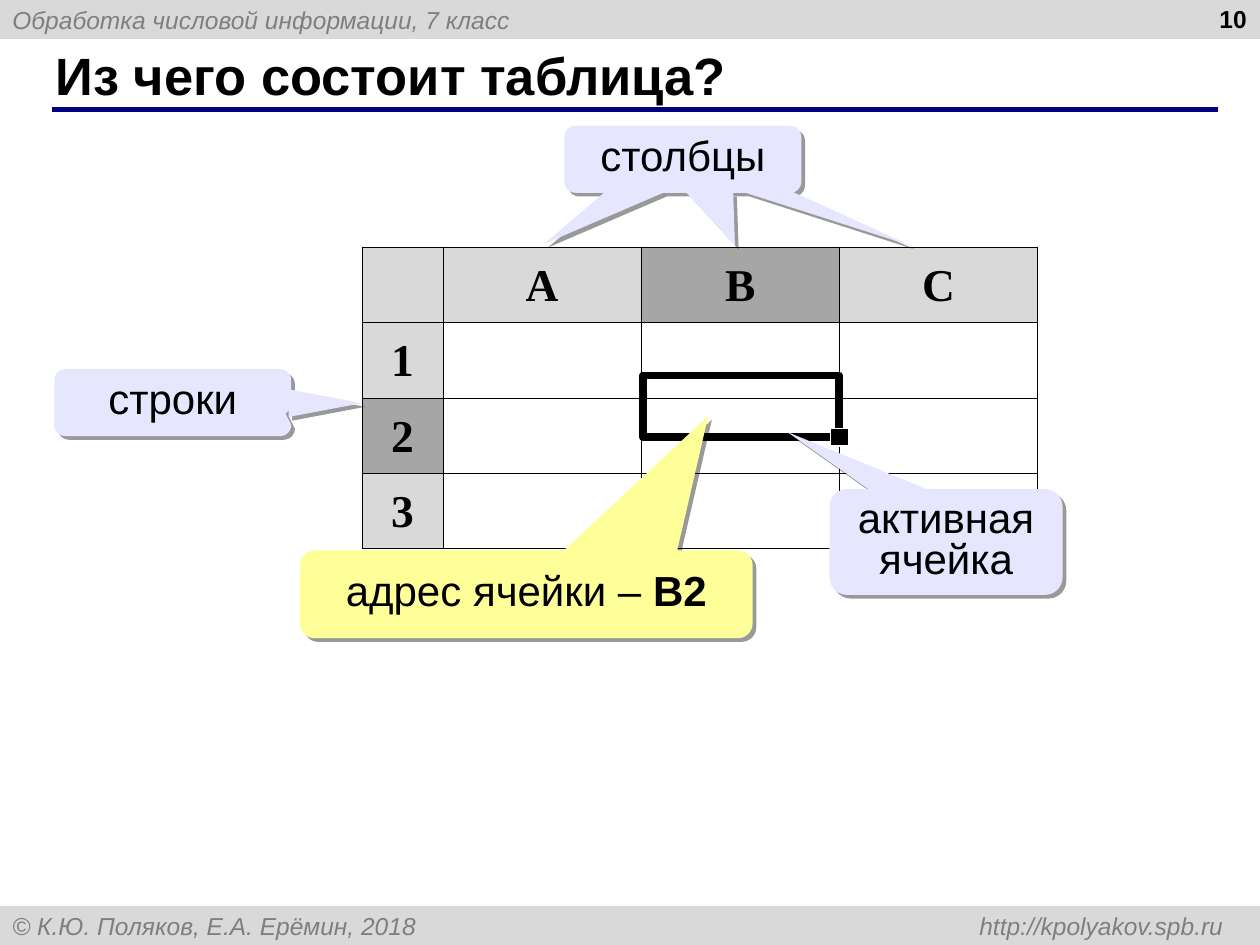
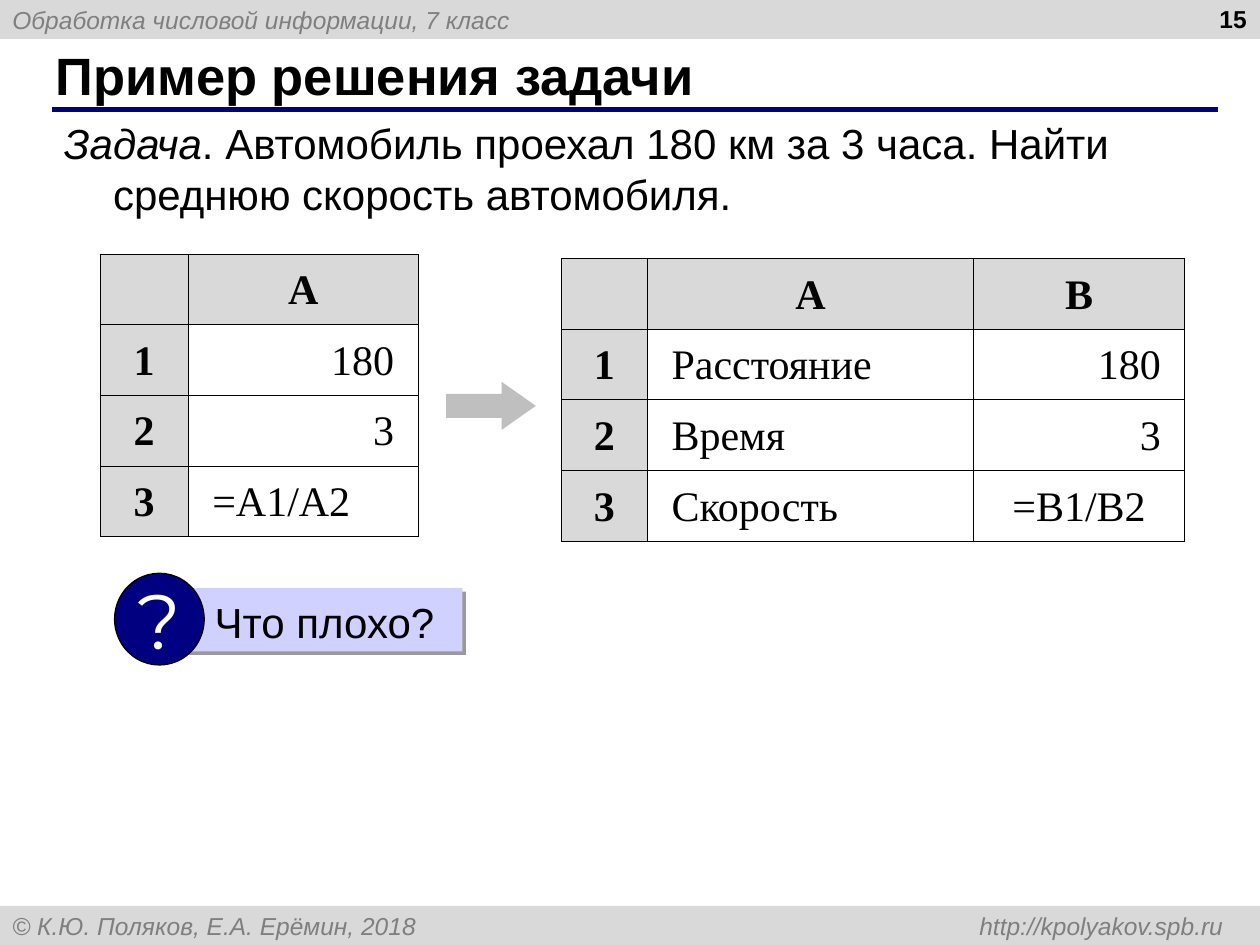
from lxml.etree import SubElement
from pptx import Presentation
from pptx.dml.color import RGBColor
from pptx.enum.shapes import MSO_CONNECTOR, MSO_SHAPE
from pptx.enum.text import MSO_ANCHOR, MSO_AUTO_SIZE, PP_ALIGN
from pptx.oxml import parse_xml
from pptx.oxml.ns import nsdecls, qn
from pptx.util import Pt

BLACK = RGBColor(0x00, 0x00, 0x00)
WHITE = RGBColor(0xFF, 0xFF, 0xFF)
NAVY = RGBColor(0x00, 0x00, 0x80)
BAND_GRAY = RGBColor(0xD9, 0xD9, 0xD9)
ACTIVE_GRAY = RGBColor(0xA6, 0xA6, 0xA6)
ARROW_GRAY = RGBColor(0xBF, 0xBF, 0xBF)
TEXT_GRAY = RGBColor(0x7F, 0x7F, 0x7F)
LAVENDER = RGBColor(0xE6, 0xE6, 0xFF)
LILAC = RGBColor(0xD1, 0xD1, 0xFF)
YELLOW = RGBColor(0xFF, 0xFF, 0x99)

LEFT, CENTER, RIGHT = PP_ALIGN.LEFT, PP_ALIGN.CENTER, PP_ALIGN.RIGHT
SHADOW = (
    f'<a:outerShdw {nsdecls("a")} blurRad="0" dist="{Pt(3)}" dir="2700000" algn="ctr" rotWithShape="0">'
    '<a:srgbClr val="000000"><a:alpha val="40000"/></a:srgbClr></a:outerShdw>'
)


def paint(shape, fill=None, line=None, line_width=0.75, shadow=False):
    if fill is None:
        shape.fill.background()
    else:
        shape.fill.solid()
        shape.fill.fore_color.rgb = fill
    if line is None:
        shape.line.fill.background()
    else:
        shape.line.color.rgb = line
        shape.line.width = Pt(line_width)
    shape.shadow.inherit = False
    if shadow:
        shape._element.spPr.find(qn("a:effectLst")).append(parse_xml(SHADOW))
    return shape


def write(para, text, size, color=BLACK, bold=False, italic=False, font="Arial", align=LEFT):
    para.alignment = align
    span = para.add_run()
    span.text = text
    span.font.name = font
    span.font.size = Pt(size)
    span.font.color.rgb = color
    span.font.bold = bold
    span.font.italic = italic


deck = Presentation()
deck.slide_width, deck.slide_height = Pt(720), Pt(540)

pages = []
for number, title_text in (("10", "Из чего состоит таблица?"), ("15", "Пример решения задачи")):
    page = deck.slides.add_slide(deck.slide_layouts[5])
    pages.append(page)
    for top, text in (
        (0, "Обработка числовой информации, 7 класс"),
        (517.7, "© К.Ю. Поляков, Е.А. Ерёмин, 2018 \thttp://kpolyakov.spb.ru"),
    ):
        band = paint(page.shapes.add_shape(MSO_SHAPE.RECTANGLE, 0, Pt(top), Pt(720), Pt(22.3)), BAND_GRAY)
        band.text_frame.vertical_anchor = MSO_ANCHOR.MIDDLE
        para = band.text_frame.paragraphs[0]
        tabs = SubElement(para._p.get_or_add_pPr(), qn("a:tabLst"))
        SubElement(tabs, qn("a:tab"), pos=str(Pt(692)), algn="r")
        write(para, text, 14, TEXT_GRAY, italic=True)

    rule = page.shapes.add_connector(MSO_CONNECTOR.STRAIGHT, Pt(29.5), Pt(62.5), Pt(696), Pt(62.5))
    rule.line.color.rgb = NAVY
    rule.line.width = Pt(3)
    SubElement(rule._element.spPr, qn("a:effectLst"))

    title = page.shapes.title
    title.left, title.top, title.width, title.height = Pt(24.5), Pt(23.8), Pt(659.5), Pt(37.4)
    title.text_frame.auto_size = MSO_AUTO_SIZE.NONE
    title.text_frame.vertical_anchor = MSO_ANCHOR.MIDDLE
    write(title.text_frame.paragraphs[0], title_text, 30, bold=True)

    box = page.shapes.add_textbox(Pt(551.5), Pt(-1.5), Pt(168), Pt(37.4))
    box.text_frame.word_wrap = True
    write(box.text_frame.paragraphs[0], number, 14, bold=True, align=RIGHT)

parts_page, task_page = pages

sheets = (
    (parts_page, 206.8, 141.2, (46.4, 113.3, 113.3, 113.3), 26, 13, (2, 2),
     (("", "A", "B", "C"), ("1", "", "", ""), ("2", "", "", ""), ("3", "", "", "")), ()),
    (task_page, 57.2, 145.2, (50.4, 131.3), 24, 13.7, None,
     (("", "A"), ("1", "180"), ("2", "3"), ("3", "=А1/А2")), (LEFT,)),
    (task_page, 320.7, 147.8, (49.4, 186.2, 120.8), 24, 13.7, None,
     (("", "A", "B"), ("1", "Расстояние", "180"), ("2", "Время", "3"), ("3", "Скорость", "=B1/B2")),
     (LEFT, CENTER)),
)
ROW_HEIGHT = 40.3
for page, left, top, widths, size, margin, active, rows, formula_aligns in sheets:
    table = page.shapes.add_table(
        len(rows), len(widths), Pt(left), Pt(top), Pt(sum(widths)), Pt(ROW_HEIGHT * len(rows))
    ).table
    table.first_row = table.horz_banding = False
    for column, width in zip(table.columns, widths):
        column.width = Pt(width)
    for r, row in enumerate(rows):
        table.rows[r].height = Pt(ROW_HEIGHT)
        for c, text in enumerate(row):
            cell = table.cell(r, c)
            cell.margin_left = cell.margin_right = Pt(margin)
            properties = cell._tc.get_or_add_tcPr()
            for side in ("a:lnL", "a:lnR", "a:lnT", "a:lnB"):
                border = SubElement(properties, qn(side), w=str(Pt(0.45)))
                SubElement(SubElement(border, qn("a:solidFill")), qn("a:srgbClr"), val=str(BLACK))
            header = r == 0 or c == 0
            if header:
                cell.fill.solid()
                highlighted = active and (r, c) in ((0, active[1]), (active[0], 0))
                cell.fill.fore_color.rgb = ACTIVE_GRAY if highlighted else BAND_GRAY
            else:
                cell.fill.background()
            if not text:
                continue
            if header:
                align = CENTER
            elif text.startswith("="):
                align = formula_aligns[c - 1]
            else:
                align = RIGHT if text.isdigit() else LEFT
            para = cell.text_frame.paragraphs[0]
            para.line_spacing = 1.15
            write(para, text, size, bold=header, font="Times New Roman", align=align)

shapes = parts_page.shapes
paint(shapes.add_shape(MSO_SHAPE.RECTANGLE, Pt(367.3), Pt(214.6), Pt(112.3), Pt(35.2)), None, BLACK, 4.5)
paint(shapes.add_shape(MSO_SHAPE.RECTANGLE, Pt(474.7), Pt(244.8), Pt(10), Pt(10)), BLACK, WHITE)

callouts = (
    ((322.5, 72, 135.4, 38.2), (-0.584, 1.262), LAVENDER, (("столбцы", False),),
     (((426.2, 110.2), (520.6, 140.4), (452.9, 109.6)), ((392.4, 110.2), (420, 140.4), (419, 110.2)))),
    ((31, 211, 135.4, 38.2), (0.476, 0.164), LAVENDER, (("строки", False),),
     (((206.6, 230.4), (164.9, 222.5), (164.9, 238.3)),)),
    ((474, 279.5, 133.2, 60.5), (-0.681, -1.039), LAVENDER, (("активная ячейка", False),), ()),
    ((171.4, 314.5, 258.7, 50.2), (0.402, -2.03), YELLOW, (("адрес ячейки – ", False), ("B2", True)), ()),
)
for bounds, tip, fill, spans, pointers in callouts:
    callout = shapes.add_shape(MSO_SHAPE.ROUNDED_RECTANGULAR_CALLOUT, *map(Pt, bounds))
    paint(callout, fill, shadow=True)
    callout.adjustments[0], callout.adjustments[1] = tip
    callout.text_frame.word_wrap = True
    callout.text_frame.vertical_anchor = MSO_ANCHOR.MIDDLE
    para = callout.text_frame.paragraphs[0]
    para.line_spacing = 0.8
    for text, bold in spans:
        write(para, text, 24, bold=bold, align=CENTER)
    for pointer in pointers:
        start, *corners = [(Pt(x), Pt(y)) for x, y in pointer]
        outline = shapes.build_freeform(*start)
        outline.add_line_segments(corners, close=True)
        paint(outline.convert_to_shape(), fill, shadow=True)

shapes = task_page.shapes
task = shapes.add_textbox(Pt(29.5), Pt(63.4), Pt(673), Pt(64.8))
task.text_frame.word_wrap = True
para = task.text_frame.paragraphs[0]
para.line_spacing = Pt(29)
indents = para._p.get_or_add_pPr()
indents.set("marL", str(Pt(28)))
indents.set("indent", str(Pt(-28)))
write(para, "Задача", 24, italic=True)
write(para, ". Автомобиль проехал 180 км за 3 часа. Найти среднюю скорость автомобиля.", 24)

question = shapes.add_shape(MSO_SHAPE.RECTANGLE, Pt(102.2), Pt(336), Pt(162), Pt(36.2))
paint(question, LILAC, shadow=True)
question.text_frame.margin_left = Pt(20.5)
question.text_frame.margin_top = Pt(6)
question.text_frame.vertical_anchor = MSO_ANCHOR.MIDDLE
write(question.text_frame.paragraphs[0], "Что плохо?", 24)

badge = paint(shapes.add_shape(MSO_SHAPE.OVAL, Pt(65.5), Pt(327.6), Pt(51.2), Pt(52.4)), NAVY, BLACK)
badge.text_frame.word_wrap = False
badge.text_frame.vertical_anchor = MSO_ANCHOR.MIDDLE
write(badge.text_frame.paragraphs[0], "?", 44, WHITE, font="Montserrat", align=CENTER)

arrow = paint(shapes.add_shape(MSO_SHAPE.RIGHT_ARROW, Pt(255), Pt(218.2), Pt(51.2), Pt(27.4)), ARROW_GRAY)
arrow.adjustments[0], arrow.adjustments[1] = 0.5, 0.71

deck.save("out.pptx")
